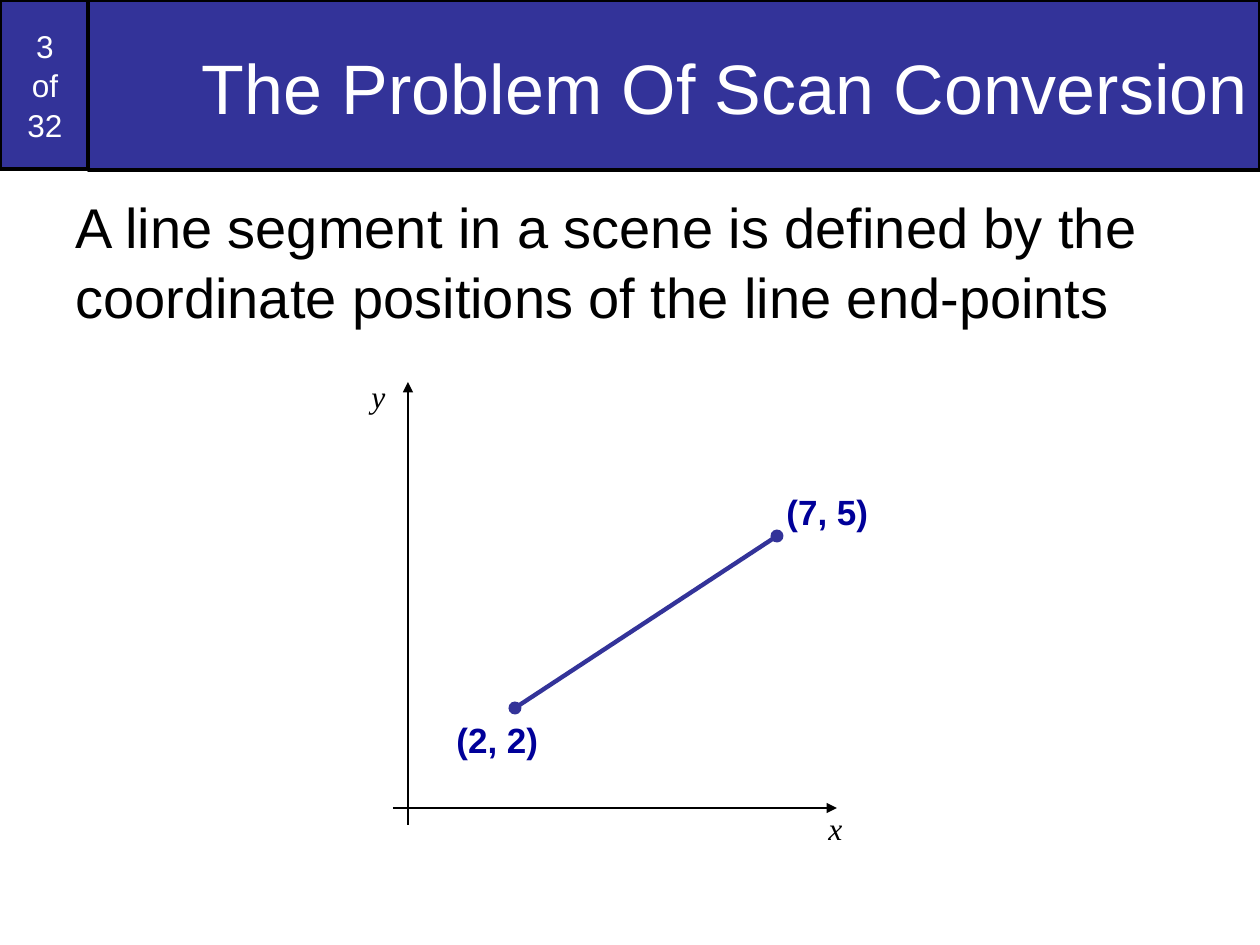
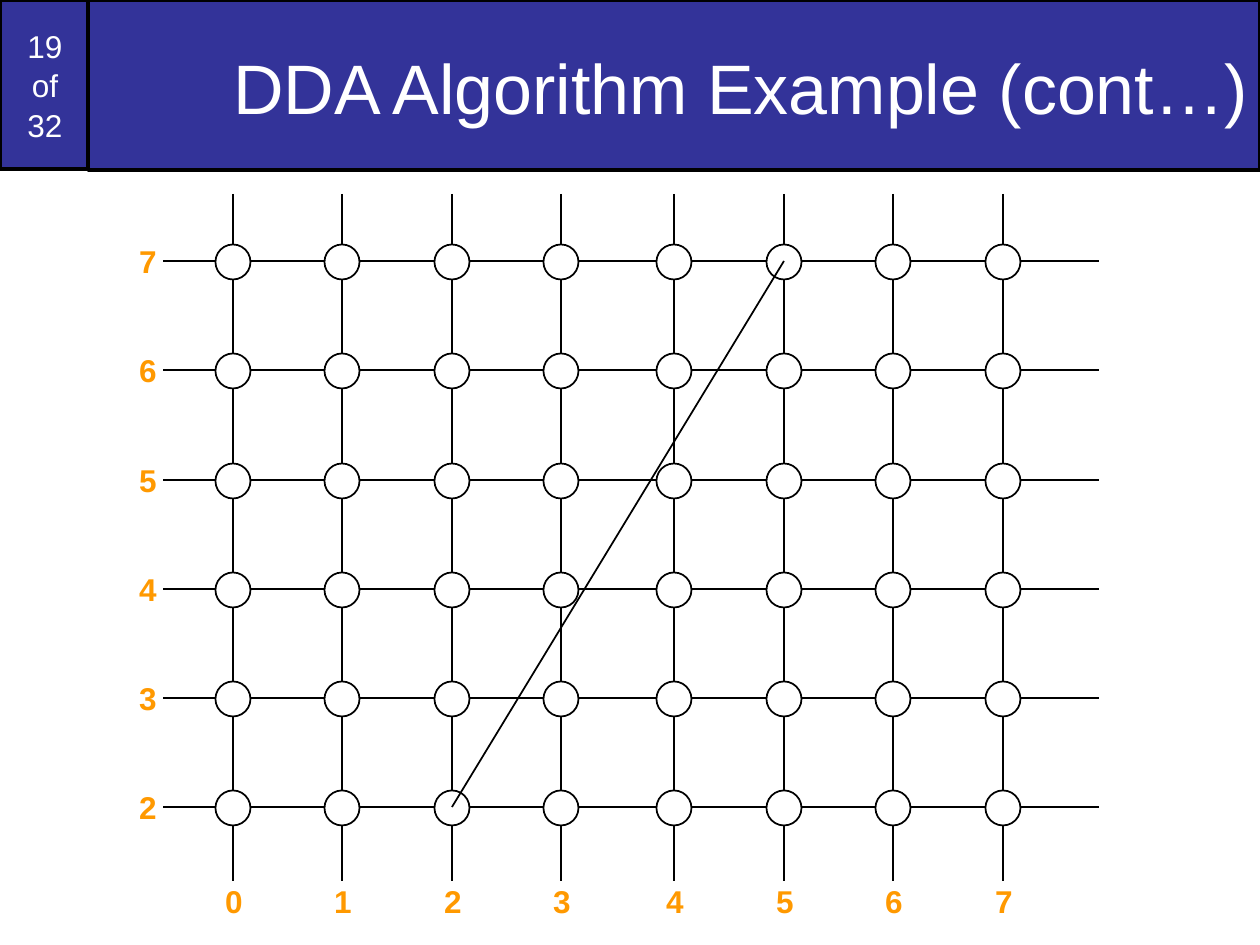
from lxml import etree
from pptx import Presentation, util as u
from pptx.dml.color import RGBColor
from pptx.enum import shapes, text
from pptx.oxml.ns import qn

BLUE = RGBColor(0x33, 0x33, 0x99)
NAVY = RGBColor(0, 0, 0x99)
GOLD = RGBColor(0xFF, 0x99, 0)
BLACK = RGBColor(0, 0, 0)
WHITE = RGBColor(0xFF, 0xFF, 0xFF)
SANS, SERIF = "Arial", "Times New Roman"
LEFT, MID, RIGHT = text.PP_ALIGN.LEFT, text.PP_ALIGN.CENTER, text.PP_ALIGN.RIGHT
RECT, OVAL = shapes.MSO_SHAPE.RECTANGLE, shapes.MSO_SHAPE.OVAL
SCALE = u.Inches(1) / 126

TOTAL = 32
SCAN = (3, "The Problem Of Scan Conversion")
DDA = (19, "DDA Algorithm Example (cont…)")
BODY = ("A line segment in a scene is defined by the "
        "coordinate positions of the line end-points")
AXES = [((408, 825), (408, 382)), ((393, 808), (837, 808))]
NAMES = [("x", (816, 801, 39, 50)), ("y", (359, 369, 39, 50))]
ENDS = ((515, 708), (777, 536))
POINTS = [("(2, 2)", (444, 711, 107, 55)), ("(7, 5)", (774, 483, 107, 55))]

COLS = dict(enumerate([233, 342, 452, 561, 674, 784, 893, 1003]))
ROWS = {n: 261 + round(109.3 * (7 - n)) for n in range(7, 1, -1)}
PATH = ((2, 2), (5, 7))
DOT = 35


def emu(*nums):
    return [u.Emu(round(n * SCALE)) for n in nums]


def write(shape, words, size, color, font=SANS, align=LEFT, wrap=True,
          bold=False, italic=False):
    frame = shape.text_frame
    frame.word_wrap = wrap
    par = frame.paragraphs[0]
    par.text = words
    par.alignment = align
    par.line_spacing = 1.04
    for run in par.runs:
        run.font.name, run.font.size = font, u.Pt(size)
        run.font.color.rgb = color
        run.font.bold, run.font.italic = bold, italic


def label(slide, words, box, *args, **style):
    shape = slide.shapes.add_textbox(*emu(*box))
    write(shape, words, *args, **style)


def block(slide, kind, box, fill, width):
    shape = slide.shapes.add_shape(kind, *emu(*box))
    shape.shadow.inherit = False
    shape.fill.solid()
    shape.fill.fore_color.rgb = fill
    shape.line.color.rgb = BLACK
    shape.line.width = u.Pt(width)
    return shape


def line(slide, start, end, color=BLACK, width=1, head=None, tail=None):
    link = slide.shapes.add_connector(
        shapes.MSO_CONNECTOR.STRAIGHT, *emu(*start, *end))
    link.line.color.rgb = color
    link.line.width = u.Pt(width)
    props = link.element.spPr
    for tag, kind in (("a:headEnd", head), ("a:tailEnd", tail)):
        if kind:
            etree.SubElement(props.find(qn("a:ln")), qn(tag), type=kind)
    etree.SubElement(props, qn("a:effectLst"))


def page(deck, number, title):
    slide = deck.slides.add_slide(deck.slide_layouts[6])
    badge = block(slide, RECT, (0, 0, 90, 169), BLUE, 2)
    write(badge, f"{number}\vof\v{TOTAL}", 18, WHITE, align=MID)
    band = block(slide, RECT, (88, 0, 1172, 170), BLUE, 2)
    write(band, title, 40, WHITE, align=RIGHT)
    for shape in (badge, band):
        shape.text_frame.vertical_anchor = text.MSO_ANCHOR.MIDDLE
    return slide


deck = Presentation()
deck.slide_width, deck.slide_height = emu(1260, 945)

scan = page(deck, *SCAN)
label(scan, BODY, (63, 184, 1134, 761), 32, BLACK)
for start, end in AXES:
    line(scan, start, end, tail="triangle")
for name, box in NAMES:
    label(scan, name, box, 18, BLACK, SERIF, wrap=False, italic=True)
line(scan, *ENDS, BLUE, 2.5, "oval", "oval")
for name, box in POINTS:
    label(scan, name, box, 20, NAVY, wrap=False, bold=True)

dda = page(deck, *DDA)
for y in ROWS.values():
    line(dda, (1099, y), (163, y))
for x in COLS.values():
    line(dda, (x, 194), (x, 881))
for y in ROWS.values():
    for x in COLS.values():
        block(dda, OVAL, (x - DOT / 2, y + 1 - DOT / 2, DOT, DOT), WHITE, 1)
spots = [(n, 126, y - 27) for n, y in ROWS.items()]
spots += [(n, x - 21, 874) for n, x in COLS.items()]
for n, x, y in spots:
    label(dda, str(n), (x, y, 43, 50), 18, GOLD, align=RIGHT, wrap=False, bold=True)
line(dda, *[(COLS[c], ROWS[r]) for c, r in PATH])

deck.save("out.pptx")
